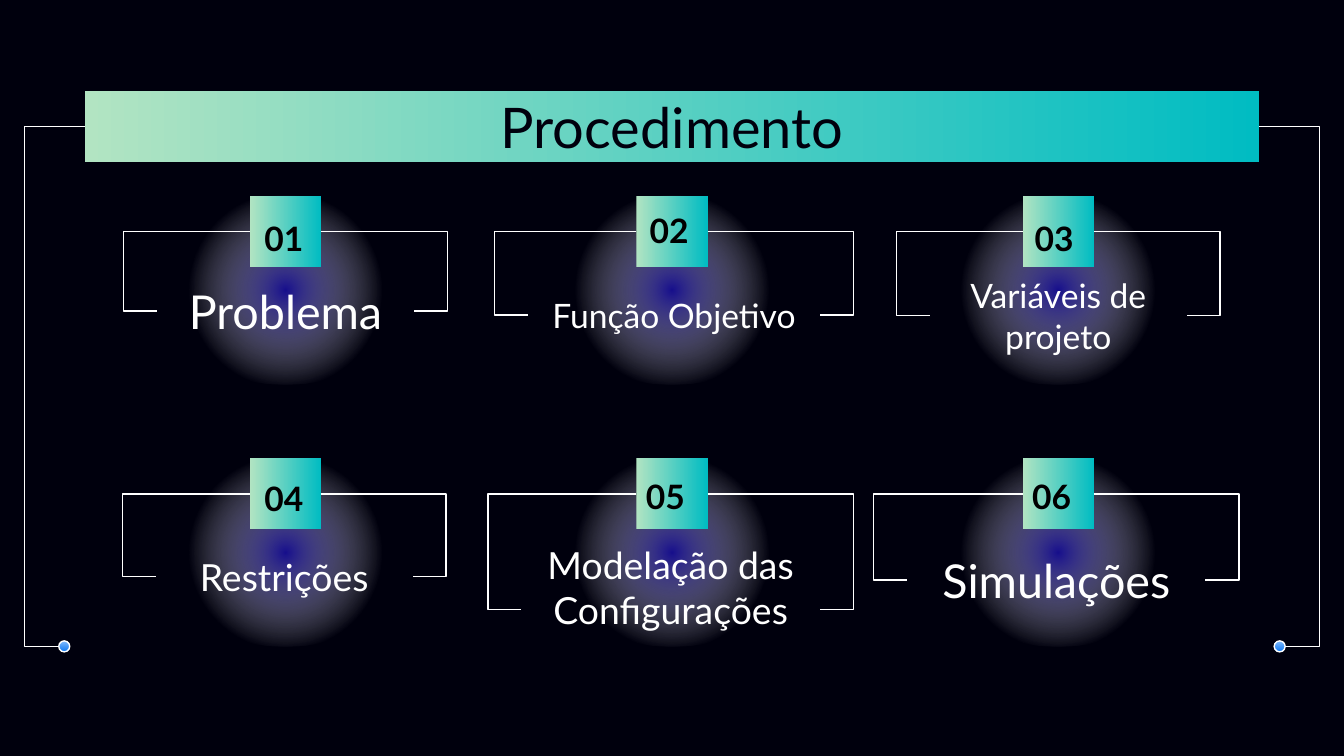
from pptx import Presentation
from pptx.dml.color import RGBColor
from pptx.enum.shapes import MSO_CONNECTOR, MSO_SHAPE
from pptx.enum.text import MSO_ANCHOR, PP_ALIGN
from pptx.oxml import parse_xml
from pptx.oxml.ns import nsdecls, qn
from pptx.oxml.xmlchemy import OxmlElement
from pptx.util import Pt

FONT = "Lato"
WHITE, BLACK, NIGHT = "FFFFFF", "000000", "00000D"
TITLE = "Procedimento"

# number, number offset in badge, label, size, label left / centre y / width, bracket end y
CARDS = [
    ("01", (0.7, 7.9), "Problema", 25, (84.2, 166.6, 137.5), 166.6),
    ("02", (0, 3.6), "Função Objetivo", 18, (283, 168.7, 156.2), 168.7),
    ("03", (-0.7, 7.9), "Variáveis de projeto", 18, (498.2, 169.1, 137.5), 169.1),
    ("04", (0.7, 6.8), "Restrições", 20, (83.5, 308.7, 137.5), 308.7),
    ("05", (-2, 6.2), "Modelação das Configurações", 20, (279.4, 314.6, 159.8), 326.6),
    ("06", (-2, 6.2), "Simulações", 25, (486, 310.8, 159.8), 310.8),
]
COLUMNS = 3
FIRST_CENTER, COLUMN_STEP = 153, 207
FIRST_TOP, ROW_STEP = 105.1, 140.4
BADGE = 38.2
GLOW_WIDTH, GLOW_HEIGHT = 137.5, 100.8
LABEL_HEIGHT = 36.7
BRACKET_REACH = 18

SLIDE_WIDTH, SLIDE_HEIGHT = 720, 405
BANNER = (45.4, 48.9, 629.2, 38.1)
FRAME_EDGE, FRAME_END, FRAME_BOTTOM = 13.1, 31.5, 346.3
DOT = 5.9

# stops: position in percent, colour, opacity in percent
MINT = [(0, "B2E4C2", 100), (100, "00BCC2", 100)]
GLOW = [(0, "170F8D", 100), (61, WHITE, 0), (100, WHITE, 0)]
BLUE = [(0, "82BCFE", 100), (100, "0C77F1", 100)]
ACROSS = '<a:lin ang="0" scaled="0"/>'
DOWN = '<a:lin ang="5400000" scaled="0"/>'
RADIAL = ('<a:path path="circle"><a:fillToRect l="50000" t="50000" '
          'r="50000" b="50000"/></a:path>')


def color(value):
    return RGBColor.from_string(value)


def add_gradient_shape(kind, left, top, width, height, stops, direction):
    shape = slide.shapes.add_shape(kind, Pt(left), Pt(top), Pt(width), Pt(height))
    shape.shadow.inherit = False
    shape.line.fill.background()
    shape.fill.gradient()
    stop_xml = "".join(
        f'<a:gs pos="{position * 1000}"><a:srgbClr val="{value}">'
        f'<a:alpha val="{opacity * 1000}"/></a:srgbClr></a:gs>'
        for position, value, opacity in stops)
    gradient = parse_xml(f'<a:gradFill {nsdecls("a")} rotWithShape="1">'
                         f'<a:gsLst>{stop_xml}</a:gsLst>{direction}</a:gradFill>')
    properties = shape.element.spPr
    properties.replace(properties.find(qn("a:gradFill")), gradient)
    return shape


def add_text(text, left, top, width, height, size, value, bold=False,
             align=PP_ALIGN.CENTER, anchor=MSO_ANCHOR.TOP, inset=7.2):
    box = slide.shapes.add_textbox(Pt(left), Pt(top), Pt(width), Pt(height))
    frame = box.text_frame
    frame.word_wrap = True
    frame.vertical_anchor = anchor
    frame.margin_left = frame.margin_right = Pt(7.2)
    frame.margin_top = frame.margin_bottom = Pt(inset)
    paragraph = frame.paragraphs[0]
    paragraph.alignment = align
    run = paragraph.add_run()
    run.text = text
    run.font.name, run.font.size, run.font.bold = FONT, Pt(size), bold
    run.font.color.rgb = color(value)


def add_bracket(start, end, edge):
    """Elbow line that runs from start out to x = edge and back to end."""
    connector = slide.shapes.add_connector(
        MSO_CONNECTOR.ELBOW, *(Pt(value) for value in (*start, *end)))
    connector.line.color.rgb = color(WHITE)
    connector.line.width = Pt(0.75)
    properties = connector.element.spPr
    bend = round((edge - start[0]) / (end[0] - start[0]) * 100000)
    guide = OxmlElement("a:gd")
    guide.set("name", "adj1")
    guide.set("fmla", f"val {bend}")
    properties.find(qn("a:prstGeom")).get_or_add_avLst().append(guide)
    properties.append(OxmlElement("a:effectLst"))


def add_card(index, number, offset, label, size, place, bracket_y):
    row, column = divmod(index, COLUMNS)
    center = FIRST_CENTER + column * COLUMN_STEP
    top = FIRST_TOP + row * ROW_STEP
    left, middle, width = place
    badge_left, badge_right = center - BADGE / 2, center + BADGE / 2
    badge_middle = top + BADGE / 2

    add_gradient_shape(MSO_SHAPE.OVAL, center - GLOW_WIDTH / 2, top,
                       GLOW_WIDTH, GLOW_HEIGHT, GLOW, RADIAL)
    add_text(label, left, middle - LABEL_HEIGHT / 2, width, LABEL_HEIGHT,
             size, WHITE, anchor=MSO_ANCHOR.MIDDLE)
    add_gradient_shape(MSO_SHAPE.RECTANGLE, badge_left, top, BADGE, BADGE, MINT, ACROSS)
    add_bracket((badge_left, badge_middle), (left, bracket_y), left - BRACKET_REACH)
    add_bracket((badge_right, badge_middle), (left + width, bracket_y),
                left + width + BRACKET_REACH)
    add_text(number, badge_left + offset[0], top + offset[1], 40.3, 28.8, 18,
             BLACK, bold=True, align=PP_ALIGN.LEFT, inset=3.6)


presentation = Presentation()
presentation.slide_width, presentation.slide_height = Pt(SLIDE_WIDTH), Pt(SLIDE_HEIGHT)
slide = presentation.slides.add_slide(presentation.slide_layouts[6])
slide.background.fill.solid()
slide.background.fill.fore_color.rgb = color(NIGHT)

add_gradient_shape(MSO_SHAPE.RECTANGLE, *BANNER, MINT, ACROSS)
add_text(TITLE, 56.6, 42.5, 606.8, 45.4, 30, NIGHT)

for index, card in enumerate(CARDS):
    add_card(index, *card)

banner_left, banner_top, banner_width, banner_height = BANNER
banner_middle = banner_top + banner_height / 2
for banner_x, end_x, edge_x, dot_x in (
    (banner_left, FRAME_END, FRAME_EDGE, FRAME_END),
    (banner_left + banner_width, SLIDE_WIDTH - FRAME_END,
     SLIDE_WIDTH - FRAME_EDGE, SLIDE_WIDTH - FRAME_END - DOT),
):
    dot = add_gradient_shape(MSO_SHAPE.OVAL, dot_x, FRAME_BOTTOM - DOT / 2,
                             DOT, DOT, BLUE, DOWN)
    dot.line.color.rgb = color(WHITE)
    dot.line.width = Pt(0.75)
    add_bracket((banner_x, banner_middle), (end_x, FRAME_BOTTOM), edge_x)

presentation.save("out.pptx")
